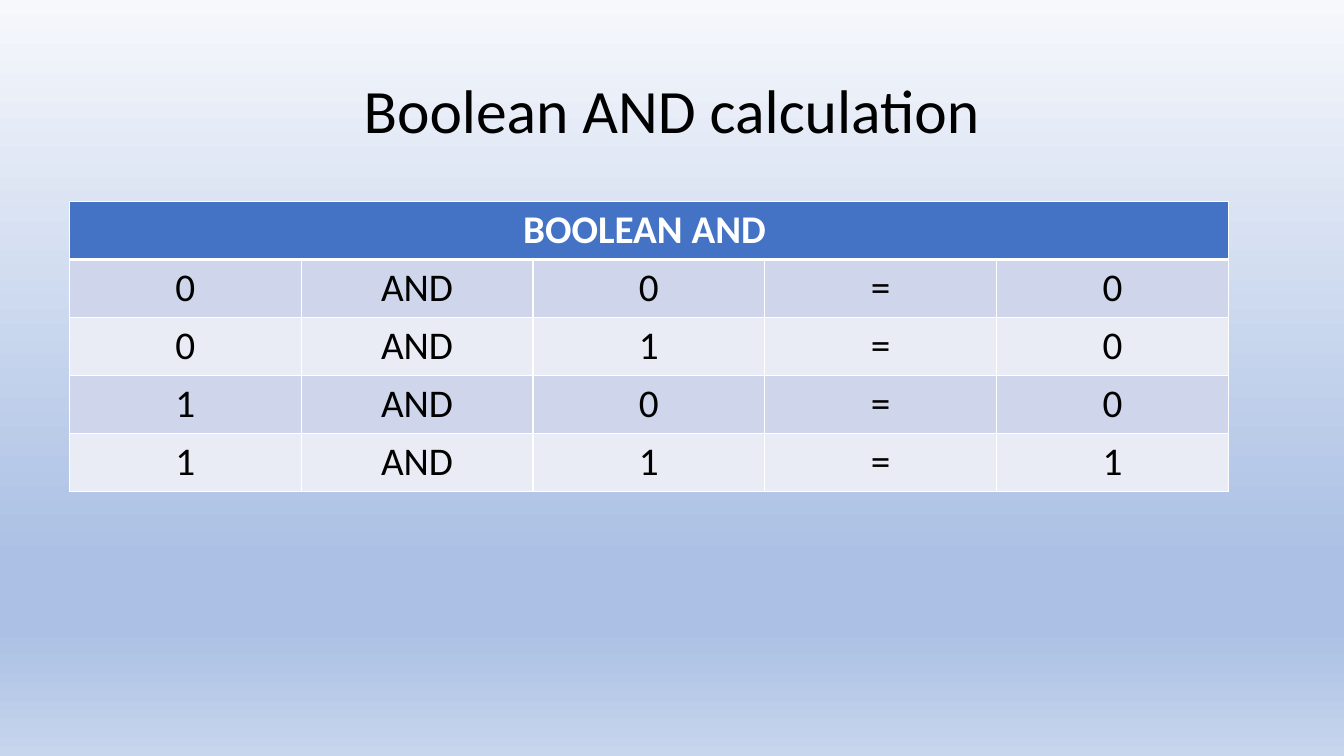
from dataclasses import dataclass

from lxml import etree
from pptx import Presentation
from pptx.dml.color import RGBColor
from pptx.enum.text import MSO_ANCHOR, PP_ALIGN
from pptx.oxml.ns import qn
from pptx.slide import Slide
from pptx.table import _Cell
from pptx.text.text import TextFrame
from pptx.util import Pt

CENTER = PP_ALIGN.CENTER
MIDDLE = MSO_ANCHOR.MIDDLE
TOP = MSO_ANCHOR.TOP

FONT = "Calibri"
COLORS = {
    "text": "000000",
    "header": "4472C4",
    "header_text": "FFFFFF",
    "border": "FFFFFF",
    "odd_row": "CFD5EA",
    "even_row": "E9EBF5",
    "sky_top": "F6F8FC",
    "sky_deep": "ABC0E4",
    "sky_bottom": "C7D5ED",
}
SKY_STOPS = [(0, "sky_top"), (74, "sky_deep"), (83, "sky_deep"), (100, "sky_bottom")]

COLUMN_COUNT = 5
COLUMN_WIDTH = 165.6
ROW_HEIGHT = 41.4
THIN, THICK = 1, 3


@dataclass
class TruthRow:
    left: int
    right: int

    def labels(self) -> list[str]:
        result = self.left & self.right
        return [str(self.left), "AND", str(self.right), "=", str(result)]


TRUTH_ROWS = [TruthRow(left, right) for left in (0, 1) for right in (0, 1)]


def write_text(frame: TextFrame, text: str, *, size: float, color: str = "text",
               bold: bool = False, line_spacing: float = 1.0) -> None:
    paragraph = frame.paragraphs[0]
    paragraph.alignment = CENTER
    paragraph.line_spacing = line_spacing
    run = paragraph.add_run()
    run.text = text
    run.font.name = FONT
    run.font.size = Pt(size)
    run.font.bold = bold
    run.font.color.rgb = RGBColor.from_string(COLORS[color])


def add_color(parent: etree._Element, color: str) -> None:
    etree.SubElement(parent, qn("a:srgbClr"), val=COLORS[color])


def paint_background(slide: Slide) -> None:
    fill = slide.background.fill
    fill.gradient()
    fill.gradient_angle = 270
    stops = slide.element.find(".//" + qn("a:gsLst"))
    for stop in list(stops):
        stops.remove(stop)
    for percent, color in SKY_STOPS:
        add_color(etree.SubElement(stops, qn("a:gs"), pos=str(percent * 1000)), color)


def style_cell(cell: _Cell, fill: str, *, top: float = THIN, bottom: float = THIN) -> None:
    properties = cell._tc.get_or_add_tcPr()
    for side, width in (("L", THIN), ("R", THIN), ("T", top), ("B", bottom)):
        line = etree.SubElement(properties, qn(f"a:ln{side}"), w=str(Pt(width)))
        add_color(etree.SubElement(line, qn("a:solidFill")), "border")
    cell.fill.solid()
    cell.fill.fore_color.rgb = RGBColor.from_string(COLORS[fill])
    cell.vertical_anchor = TOP


def add_title(slide: Slide) -> None:
    title = slide.shapes.add_textbox(Pt(66), Pt(28.75), Pt(828), Pt(104.4)).text_frame
    title.word_wrap = True
    title.vertical_anchor = MIDDLE
    write_text(title, "Boolean AND calculation", size=44, line_spacing=0.9)


def add_truth_table(slide: Slide) -> None:
    row_count = len(TRUTH_ROWS) + 1
    table = slide.shapes.add_table(
        row_count, COLUMN_COUNT, Pt(49.5), Pt(144),
        Pt(COLUMN_WIDTH * COLUMN_COUNT), Pt(ROW_HEIGHT * row_count)).table
    for column in table.columns:
        column.width = Pt(COLUMN_WIDTH)
    for row in table.rows:
        row.height = Pt(ROW_HEIGHT)

    # Header across all columns
    for cell in table.rows[0].cells:
        style_cell(cell, "header", bottom=THICK)
    header = table.cell(0, 0)
    header.merge(table.cell(0, COLUMN_COUNT - 1))
    write_text(header.text_frame, "BOOLEAN AND ", size=28, color="header_text", bold=True)

    # One row for each pair of inputs
    for number, truth_row in enumerate(TRUTH_ROWS, start=1):
        band = "odd_row" if number % 2 else "even_row"
        for cell, label in zip(table.rows[number].cells, truth_row.labels()):
            style_cell(cell, band, top=THICK if number == 1 else THIN)
            write_text(cell.text_frame, label, size=28)


def main() -> None:
    deck = Presentation()
    deck.slide_width, deck.slide_height = Pt(960), Pt(540)
    slide = deck.slides.add_slide(deck.slide_layouts[6])
    paint_background(slide)
    add_title(slide)
    add_truth_table(slide)
    deck.save("out.pptx")


if __name__ == "__main__":
    main()
